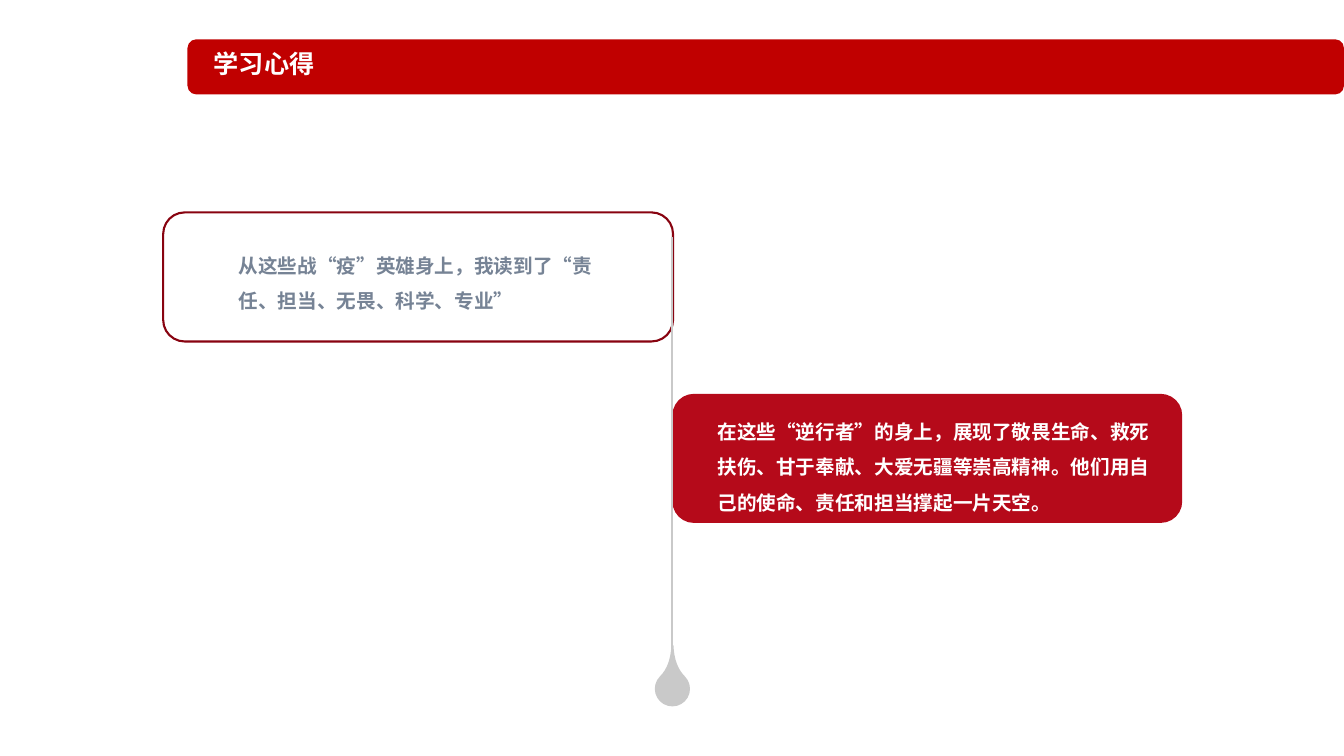
"""Build a slide with two notes hung on a plumb line."""
from dataclasses import dataclass
from typing import Optional

from lxml import etree
from pptx import Presentation
from pptx.dml.color import RGBColor
from pptx.enum.shapes import MSO_CONNECTOR, MSO_SHAPE
from pptx.oxml.ns import qn
from pptx.util import Pt

ROUND = MSO_SHAPE.ROUNDED_RECTANGLE
TEAR = MSO_SHAPE.TEAR
LINE = MSO_CONNECTOR.STRAIGHT

RED = RGBColor(0xC0, 0x00, 0x00)
WINE = RGBColor(0x88, 0x03, 0x10)
CRIMSON = RGBColor(0xB5, 0x0A, 0x1A)
SILVER = RGBColor(0xC9, 0xC9, 0xC9)
SLATE = RGBColor(0x76, 0x83, 0x95)
WHITE = RGBColor(0xFF, 0xFF, 0xFF)
FONT = "Noto Sans CJK SC"
MID = 480.3
WIDE = 364.2
HIGH = 92.2
STROKE = 1.5

Box = tuple[float, float, float, float]


@dataclass
class Note:
    panel: Box
    area: Box
    text: str
    ink: RGBColor
    fill: Optional[RGBColor] = None
    edge: Optional[RGBColor] = None


NOTES = [
    Note((MID + 0.5 - WIDE, 151.7, WIDE, HIGH), (163.4, 169.2, 277.9, 55.4),
         "从这些战“疫”英雄身上，我读到了“责任、担当、无畏、科学、专业”",
         SLATE, edge=WINE),
    Note((MID, 281.3, WIDE, HIGH), (505.4, 288, 324, 80.6),
         "在这些“逆行者”的身上，展现了敬畏生命、救死扶伤、甘于奉献、大爱无疆等崇高精神。"
         "他们用自己的使命、责任和担当撑起一片天空。",
         WHITE, fill=CRIMSON),
]


def add_form(slide, kind, box: Box, fill: Optional[RGBColor] = None,
             edge: Optional[RGBColor] = None, bend: Optional[float] = None,
             turn: float = 0) -> None:
    form = slide.shapes.add_shape(kind, *map(Pt, box))
    form.shadow.inherit = False
    form.rotation = turn
    if bend is not None:
        form.adjustments[0] = bend
    if fill is None:
        form.fill.background()
    else:
        form.fill.solid()
        form.fill.fore_color.rgb = fill
    if edge is None:
        form.line.fill.background()
    else:
        form.line.color.rgb = edge
        form.line.width = Pt(STROKE)


def add_text(slide, box: Box, text: str, *, size: float, ink: RGBColor,
             space: float = 1.0) -> None:
    frame = slide.shapes.add_textbox(*map(Pt, box)).text_frame
    frame.word_wrap = True
    para = frame.paragraphs[0]
    para.line_spacing = space
    run = para.add_run()
    run.text = text
    font = run.font
    font.name, font.size, font.bold = FONT, Pt(size), True
    font.color.rgb = ink
    east = etree.SubElement(run._r.get_or_add_rPr(), qn("a:ea"))
    east.set("typeface", FONT)


def add_line(slide, x: float, top: float, end: float) -> None:
    line = slide.shapes.add_connector(LINE, Pt(x), Pt(top), Pt(x), Pt(end))
    line.line.color.rgb = SILVER
    line.line.width = Pt(STROKE)
    etree.SubElement(line._element.spPr, qn("a:effectLst"))


def main() -> None:
    deck = Presentation()
    deck.slide_width, deck.slide_height = Pt(960), Pt(540)
    slide = deck.slides.add_slide(deck.slide_layouts[6])
    add_form(slide, ROUND, (133.9, 28.1, 826.1, 39.4), fill=RED, bend=0.16)
    add_text(slide, (145.6, 31, 300, 29), "学习心得", size=18, ink=WHITE)
    for note in NOTES:
        add_form(slide, ROUND, note.panel, fill=note.fill, edge=note.edge)
    add_line(slide, MID, 169.2, 485.3)
    for note in NOTES:
        add_text(slide, note.area, note.text, size=14, ink=note.ink, space=1.5)
    add_form(slide, TEAR, (MID - 11.8, 480.2, 23.6, 23.6), fill=SILVER,
             edge=SILVER, bend=1.85, turn=315)
    deck.save("out.pptx")


if __name__ == "__main__":
    main()
